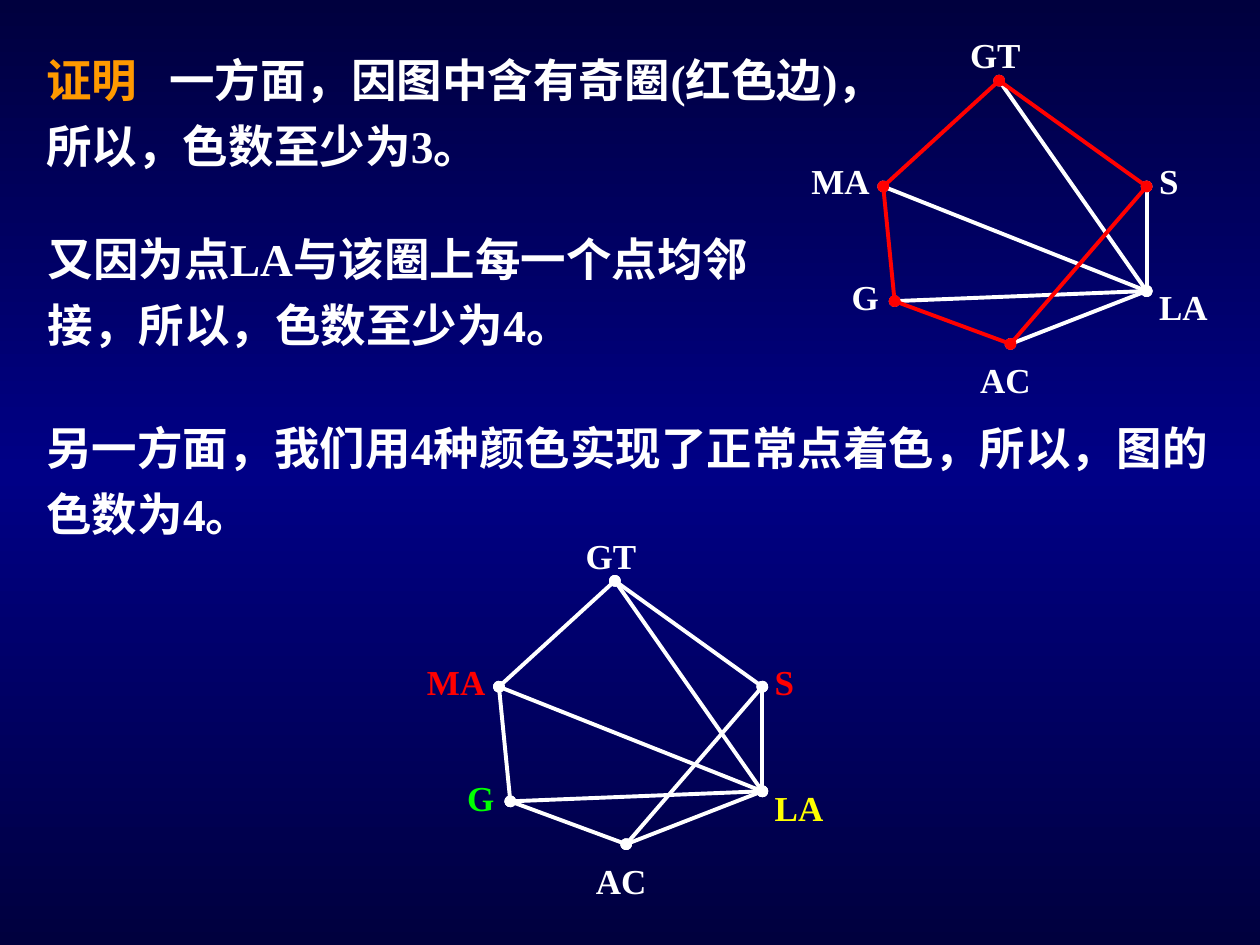
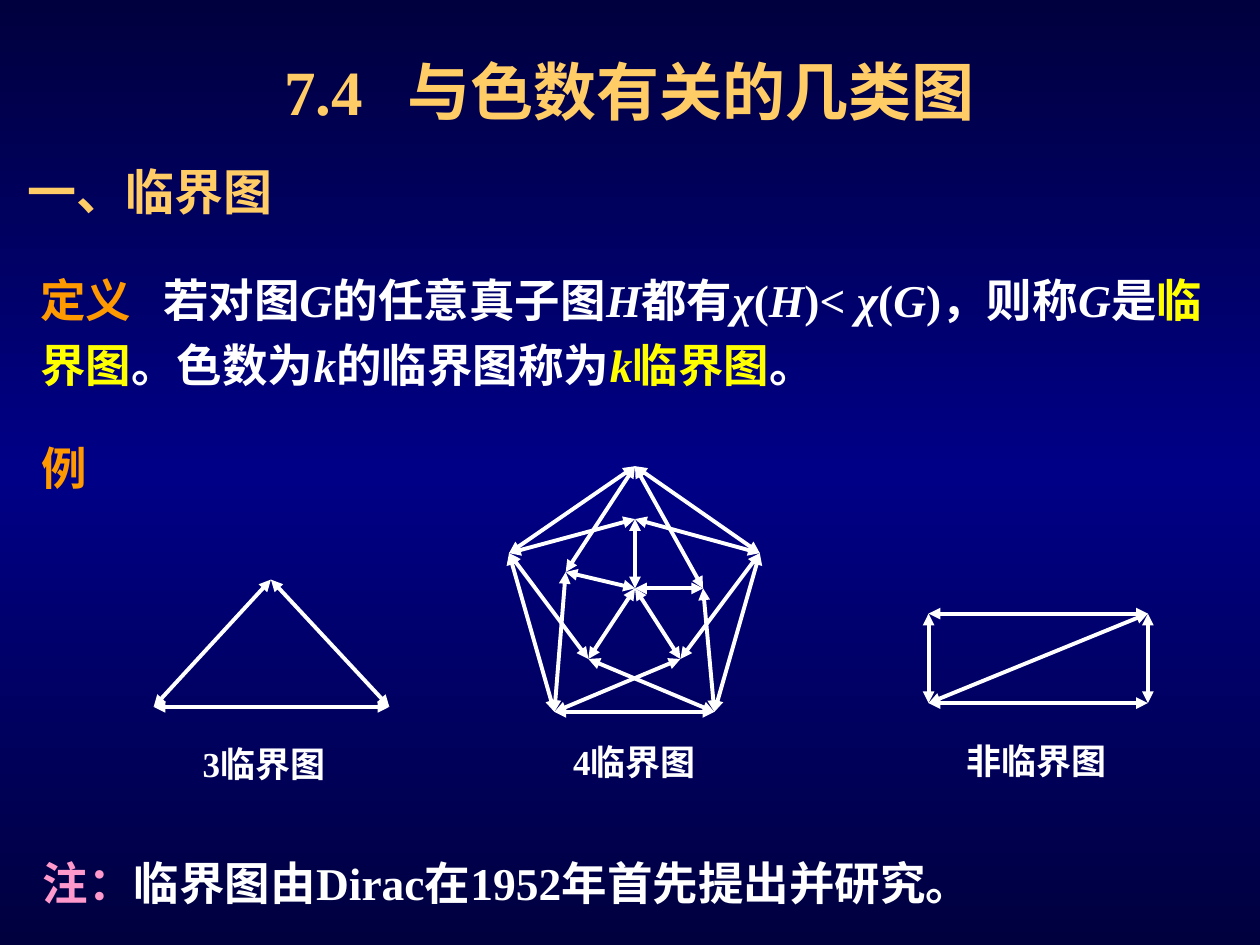
"""Build two slides on chromatic numbers and critical graphs."""
import itertools
from dataclasses import dataclass
from typing import NamedTuple

import pptx
import pptx.dml.color
import pptx.enum.shapes
import pptx.enum.text
import pptx.oxml.ns
import pptx.shapes.shapetree
import pptx.slide
import pptx.util
from lxml import etree

COLUMNS, ROWS = 10, 7.5
CELL = pptx.util.Inches(1)


@dataclass(frozen=True)
class Theme:
    """Colours, fonts and type sizes shared by the slides."""

    white: str = "FFFFFF"
    red: str = "FF0000"
    green: str = "00FF00"
    yellow: str = "FFFF00"
    gold: str = "FFCC66"
    orange: str = "FF9900"
    pink: str = "FF99CC"
    edge_colour: str = "00003E"
    centre_colour: str = "000086"
    font: str = "Times New Roman"
    sans_font: str = "DejaVu Sans"
    title: float = 36
    heading: float = 28
    body: float = 26
    label: float = 20
    line: float = 2.25


THEME = Theme()


class Point(NamedTuple):
    """A position in grid columns and rows."""

    column: float
    row: float

    def moved(self, offset: "Point") -> "Point":
        """Return the position shifted by an offset."""
        return Point(self.column + offset.column, self.row + offset.row)


class Segment(NamedTuple):
    """Text in one colour, where asterisks switch italics on and off."""

    text: str
    colour: str = THEME.white
    font: str = THEME.font


class TextBlock(NamedTuple):
    """A text box with one paragraph."""

    corner: Point
    columns: float
    rows: float
    segments: list[Segment]
    size: float = THEME.body
    line_spacing: float = 1
    space_before: float = 0


class Edge(NamedTuple):
    """A line between two vertices."""

    start: Point
    end: Point
    colour: str = THEME.white


class Figure(NamedTuple):
    """A graph drawing with its labels."""

    edges: list[Edge]
    labels: list[TextBlock]
    ending: str


def cells(count: float) -> int:
    """Convert a number of grid cells to a length."""
    return round(count * CELL)


def colour_of(value: str) -> pptx.dml.color.RGBColor:
    """Convert a hexadecimal colour."""
    return pptx.dml.color.RGBColor.from_string(value)


def draw_text(shapes: pptx.shapes.shapetree.SlideShapes, block: TextBlock) -> None:
    """Draw a text block."""
    box = shapes.add_textbox(
        cells(block.corner.column), cells(block.corner.row), cells(block.columns), cells(block.rows))
    frame = box.text_frame
    frame.word_wrap = True
    frame.auto_size = pptx.enum.text.MSO_AUTO_SIZE.SHAPE_TO_FIT_TEXT
    paragraph = frame.paragraphs[0]
    paragraph.line_spacing = block.line_spacing
    paragraph.space_before = pptx.util.Pt(block.space_before)
    for segment in block.segments:
        for position, text in enumerate(segment.text.split("*")):
            if text:
                run = paragraph.add_run()
                run.text = text
                run.font.size = pptx.util.Pt(block.size)
                run.font.bold = True
                run.font.italic = position % 2 == 1
                run.font.color.rgb = colour_of(segment.colour)
                run.font.name = segment.font
                properties = run._r.get_or_add_rPr()
                properties.set("lang", "zh-CN")
                latin = properties.find(pptx.oxml.ns.qn("a:latin"))
                latin.addnext(properties.makeelement(
                    pptx.oxml.ns.qn("a:ea"), {"typeface": THEME.sans_font}))


def draw_edge(shapes: pptx.shapes.shapetree.GroupShapes, edge: Edge, ending: str) -> None:
    """Draw a line with the same ending at both ends."""
    connector = shapes.add_connector(
        pptx.enum.shapes.MSO_CONNECTOR.STRAIGHT,
        *map(cells, edge.start), *map(cells, edge.end))
    connector.line.color.rgb = colour_of(edge.colour)
    connector.line.width = pptx.util.Pt(THEME.line)
    outline = connector.line._get_or_add_ln()
    for tag in ("a:headEnd", "a:tailEnd"):
        etree.SubElement(outline, pptx.oxml.ns.qn(tag), type=ending)
    etree.SubElement(connector._element.spPr, pptx.oxml.ns.qn("a:effectLst"))


def draw_figure(slide: pptx.slide.Slide, figure: Figure) -> None:
    """Draw a graph as one group."""
    shapes = slide.shapes.add_group_shape().shapes
    for edge in figure.edges:
        draw_edge(shapes, edge, figure.ending)
    for label in figure.labels:
        draw_text(shapes, label)


def paint_background(master: pptx.slide.SlideMaster) -> None:
    """Give every slide the vertical gradient."""
    fill = master.background.fill
    fill.gradient()
    fill.gradient_angle = 90
    stops = master.element.find(".//" + pptx.oxml.ns.qn("a:gsLst"))
    for stop in list(stops):
        stops.remove(stop)
    for share, colour in ((0, THEME.edge_colour), (50, THEME.centre_colour), (100, THEME.edge_colour)):
        stop = etree.SubElement(stops, pptx.oxml.ns.qn("a:gs"), pos=str(share * 1000))
        etree.SubElement(stop, pptx.oxml.ns.qn("a:srgbClr"), val=colour)


def closed(points: list[Point], colour: str = THEME.white) -> list[Edge]:
    """Join the points into a cycle."""
    return [Edge(start, end, colour) for start, end in itertools.pairwise(points + points[:1])]


def caption(text: str, corner: Point, columns: float, colour: str = THEME.white) -> TextBlock:
    """Describe a one-line label."""
    return TextBlock(corner, columns, 0.44, [Segment(text, colour)], THEME.label)


CYCLE = [Point(0, 0), Point(-0.92, 0.84), Point(-0.83, 1.75), Point(0.09, 2.09), Point(1.17, 0.84)]
HUB = Point(1.17, 1.67)
LABEL_OFFSETS = {
    "GT": Point(-0.33, -0.42), "MA": Point(-1.59, 0.58), "G": Point(-1.27, 1.5),
    "AC": Point(-0.25, 2.16), "LA": Point(1.17, 1.58), "S": Point(1.17, 0.58),
}


def wheel(top: Point, cycle_colour: str, label_colours: dict[str, str]) -> Figure:
    """Describe the odd cycle whose vertices all touch LA."""
    cycle = [top.moved(offset) for offset in CYCLE]
    hub = top.moved(HUB)
    spokes = [Edge(hub, vertex) for vertex in cycle]
    labels = [
        caption(name, top.moved(offset), 0.68, label_colours.get(name, THEME.white))
        for name, offset in LABEL_OFFSETS.items()]
    return Figure(spokes + closed(cycle, cycle_colour), labels, "oval")


def triangle() -> Figure:
    """Describe the 3-critical graph."""
    corners = [Point(2.15, 4.6), Point(1.22, 5.61), Point(3.09, 5.61)]
    return Figure(closed(corners), [caption("3临界图", Point(1.51, 5.84), 1.26)], "triangle")


def nested_pentagon() -> Figure:
    """Describe the 4-critical graph, each inner vertex joined to its twin's neighbours."""
    outer = [Point(5.04, 3.7), Point(4.04, 4.39), Point(4.4, 5.65), Point(5.67, 5.65), Point(6.03, 4.39)]
    inner = [Point(5.04, 4.12), Point(4.49, 4.54), Point(4.67, 5.23), Point(5.4, 5.23), Point(5.58, 4.67)]
    hub = Point(5.04, 4.67)
    edges = closed(outer)
    for index, vertex in enumerate(inner):
        neighbours = (outer[index - 1], outer[(index + 1) % len(outer)], hub)
        edges += [Edge(vertex, neighbour) for neighbour in neighbours]
    return Figure(edges, [caption("4临界图", Point(4.45, 5.83), 1.58)], "triangle")


def split_rectangle() -> Figure:
    """Describe the graph that is not critical."""
    left, top, right, bottom = 7.37, 4.87, 9.11, 5.58
    corners = [Point(left, top), Point(right, top), Point(right, bottom), Point(left, bottom)]
    edges = closed(corners) + [Edge(corners[3], corners[1])]
    return Figure(edges, [caption("非临界图", Point(7.57, 5.82), 1.36)], "triangle")


PROOF_BLOCKS = [
    TextBlock(Point(0.27, 0.28), 7.01, 1.14, [
        Segment("证明  ", THEME.orange),
        Segment("一方面，因图中含有奇圈(红色边)，所以，色数至少为3。")], line_spacing=1.2),
    TextBlock(Point(0.28, 1.7), 6.06, 1.14, [
        Segment("又因为点LA与该圈上每一个点均邻接，所以，色数至少为4。")], line_spacing=1.2),
    TextBlock(Point(0.27, 3.2), 9.45, 1.14, [
        Segment("另一方面，我们用4种颜色实现了正常点着色，所以，图的色数为4。")], line_spacing=1.2),
]
PROOF_FIGURES = [
    wheel(Point(4.88, 4.61), THEME.white, {
        "MA": THEME.red, "S": THEME.red, "G": THEME.green, "LA": THEME.yellow}),
    wheel(Point(7.93, 0.64), THEME.red, {}),
]
CRITICAL_BLOCKS = [
    TextBlock(Point(2.16, 0.37), 5.83, 0.7, [
        Segment("7.4", THEME.gold),
        Segment("  与色数有关的几类图", THEME.gold, THEME.sans_font)], THEME.title),
    TextBlock(Point(0.12, 1.23), 4.65, 0.57, [
        Segment("一、临界图", THEME.gold)], THEME.heading, space_before=17.5),
    TextBlock(Point(0.22, 2.02), 9.52, 1.14, [
        Segment("定义  ", THEME.orange),
        Segment("若对图*G*的任意真子图*H*都有*χ*(*H*)*< χ*(*G*)，则称*G*是"),
        Segment("临界图", THEME.yellow),
        Segment("。色数为*k*的临界图称为"),
        Segment("*k*临界图", THEME.yellow),
        Segment("。")], line_spacing=1.2),
    TextBlock(Point(0.23, 3.44), 0.79, 0.54, [Segment("例", THEME.orange)], space_before=16.2),
    TextBlock(Point(0.24, 6.74), 9.29, 0.54, [
        Segment("注：", THEME.pink),
        Segment("临界图由Dirac在1952年首先提出并研究。")], space_before=16.2),
]
CRITICAL_FIGURES = [triangle(), nested_pentagon(), split_rectangle()]


def main() -> None:
    """Build and save the presentation."""
    presentation = pptx.Presentation()
    presentation.slide_width = cells(COLUMNS)
    presentation.slide_height = cells(ROWS)
    paint_background(presentation.slide_master)
    for blocks, figures in ((PROOF_BLOCKS, PROOF_FIGURES), (CRITICAL_BLOCKS, CRITICAL_FIGURES)):
        slide = presentation.slides.add_slide(presentation.slide_layouts[6])
        for block in blocks:
            draw_text(slide.shapes, block)
        for figure in figures:
            draw_figure(slide, figure)
    presentation.save("out.pptx")


if __name__ == "__main__":
    main()
